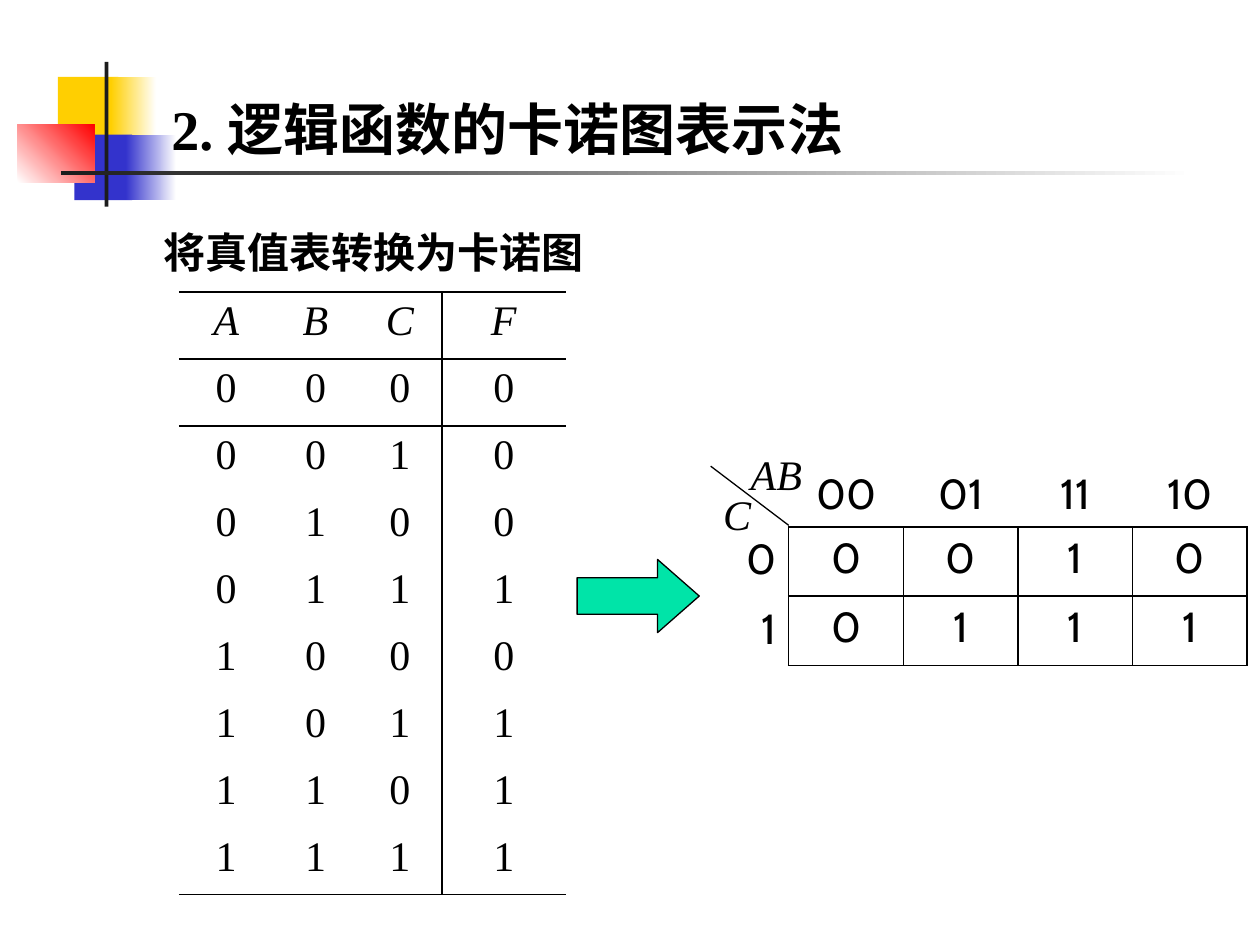
import pptx
import pptx.util
import pptx.dml.color
import pptx.enum.shapes
import pptx.enum.text
import pptx.oxml
import pptx.oxml.ns

Pt = pptx.util.Pt
SHAPE = pptx.enum.shapes.MSO_SHAPE
ALIGN = pptx.enum.text.PP_ALIGN
NAMESPACE = pptx.oxml.ns.nsdecls("a")
PLAIN_TABLE = "{2D5ABB26-0587-4C30-8999-92F81FD0307C}"
COLORS = {
    "ink": "000000",
    "paper": "FFFFFF",
    "yellow": "FFCF01",
    "blue": "3333CC",
    "red": "FF0000",
    "charcoal": "1C1C1C",
    "green": "00E4A8",
}


class SlideBuilder:
    serif = "Times New Roman"
    sans = "Cabin"
    size = 24

    def __init__(self, slide):
        self.slide = slide
        self.shapes = slide.shapes

    def color(self, name):
        return pptx.dml.color.RGBColor.from_string(COLORS[name])

    def format(self, para, font, size=None, bold=False, italic=False, align=ALIGN.LEFT):
        para.alignment = align
        for run in para.runs:
            run.font.name = font
            run.font.size = Pt(size or self.size)
            run.font.bold = bold
            run.font.italic = italic
            run.font.color.rgb = self.color("ink")

    def title(self, text, left, top, width, height):
        box = self.shapes.title
        box.left, box.top, box.width, box.height = map(Pt, (left, top, width, height))
        frame = box.text_frame
        frame.text = text
        frame.vertical_anchor = pptx.enum.text.MSO_ANCHOR.BOTTOM
        self.format(frame.paragraphs[0], self.serif, size=32, bold=True)
        self.shapes._spTree.append(box._element)

    def text(self, text, left, top, width, height, font, **style):
        box = self.shapes.add_textbox(*map(Pt, (left, top, width, height)))
        frame = box.text_frame
        frame.text = text
        frame.word_wrap = False
        frame.auto_size = pptx.enum.text.MSO_AUTO_SIZE.SHAPE_TO_FIT_TEXT
        self.format(frame.paragraphs[0], font, **style)

    def shape(self, kind, left, top, width, height, start, end=None, angle=0, outline=None):
        shape = self.shapes.add_shape(kind, *map(Pt, (left, top, width, height)))
        shape.shadow.inherit = False
        if end:
            shape.fill.gradient()
            shape.fill.gradient_angle = angle
            for stop, name, position in zip(shape.fill.gradient_stops, (start, end), (0, 1)):
                stop.color.rgb = self.color(name)
                stop.position = position
        else:
            shape.fill.solid()
            shape.fill.fore_color.rgb = self.color(start)
        if outline:
            shape.line.color.rgb = self.color(outline)
            shape.line.width = Pt(0.75)
        else:
            shape.line.fill.background()
        return shape

    def line(self, start_x, start_y, end_x, end_y):
        line = self.shapes.add_connector(
            pptx.enum.shapes.MSO_CONNECTOR.STRAIGHT,
            *map(Pt, (start_x, start_y, end_x, end_y)))
        line.line.color.rgb = self.color("ink")
        line.line.width = Pt(0.75)
        line._element.spPr.append(pptx.oxml.parse_xml(f"<a:effectLst {NAMESPACE}/>"))

    def border(self, cell, sides):
        properties = cell._tc.get_or_add_tcPr()
        for side in "LRTB":
            if side in sides:
                properties.append(pptx.oxml.parse_xml(
                    f'<a:ln{side} {NAMESPACE} w="12700"><a:solidFill>'
                    f'<a:srgbClr val="{COLORS["ink"]}"/></a:solidFill></a:ln{side}>'))

    def table(self, rows, left, top, widths, row_height, font,
              borders=lambda row, column: "", align=ALIGN.CENTER, italic_header=False):
        frame = self.shapes.add_table(
            len(rows), len(widths), Pt(left), Pt(top),
            Pt(sum(widths)), Pt(row_height * len(rows)))
        table = frame.table
        table.first_row = table.horz_banding = False
        table._tbl.tblPr.find(pptx.oxml.ns.qn("a:tableStyleId")).text = PLAIN_TABLE
        for column, width in zip(table.columns, widths):
            column.width = Pt(width)
        for row_index, values in enumerate(rows):
            table.rows[row_index].height = Pt(row_height)
            for column_index, value in enumerate(values):
                cell = table.cell(row_index, column_index)
                cell.text_frame.text = value
                self.format(cell.text_frame.paragraphs[0], font, align=align,
                            italic=italic_header and row_index == 0)
                self.border(cell, borders(row_index, column_index))
                cell.fill.background()


def truth_borders(row, column):
    sides = {2: "R", 3: "L"}.get(column, "")
    if row in (0, 1):
        sides += "T"
    if row in (0, 8):
        sides += "B"
    return sides


def main():
    deck = pptx.Presentation()
    deck.slide_width, deck.slide_height = Pt(720), Pt(540)
    page = SlideBuilder(deck.slides.add_slide(deck.slide_layouts[5]))

    for decoration in (
        (33.1, 43.9, 34.6, 37.4, "yellow"),
        (63.4, 43.9, 25.9, 37.4, "yellow", "paper"),
        (42.5, 77, 33.1, 37.4, "blue"),
        (72, 77, 28.8, 37.4, "blue", "paper"),
        (10.1, 71.3, 43.9, 33.1, "paper", "red", 45),
        (59.8, 35.3, 2.2, 82.8, "charcoal"),
        (34.6, 97.9, 648, 2.2, "charcoal", "paper"),
    ):
        page.shape(SHAPE.RECTANGLE, *decoration)

    page.title("2. 逻辑函数的卡诺图表示法", 90.7, 5.8, 613.4, 90)
    page.text("将真值表转换为卡诺图", 86.4, 126, 255.6, 36, page.sans, bold=True)

    arrow = page.shape(SHAPE.RIGHT_ARROW, 329.8, 319.7, 69.8, 41.8, "green", outline="ink")
    arrow.adjustments[0], arrow.adjustments[1] = 0.5, 0.57

    map_left, map_top, map_row = 450.7, 301, 39.6
    map_widths = [65.5] * 4
    page.table(["0010", "0111"], map_left, map_top, map_widths, map_row, page.sans,
               borders=lambda row, column: "LRTB")
    page.table([["00", "01", "11", "10"]], map_left, 264.2, map_widths, 36, page.sans)
    page.table(["0", "1"], 418.3, 301.7, [32.4], map_row, page.sans, align=ALIGN.RIGHT)
    page.text("AB", 421.9, 252.7, 43.9, 36, page.serif, italic=True)
    page.text("C", 406.1, 275.8, 30.2, 36, page.serif, italic=True)
    page.line(map_left, 300.2, 406.1, 266.4)

    outputs = "00010111"
    truth_rows = ["ABCF"] + [f"{index:03b}{output}" for index, output in enumerate(outputs)]
    page.table(truth_rows, 102.2, 167, [54, 48.2, 48.2, 70.6], 38.25, page.serif,
               borders=truth_borders, italic_header=True)

    deck.save("out.pptx")


if __name__ == "__main__":
    main()
